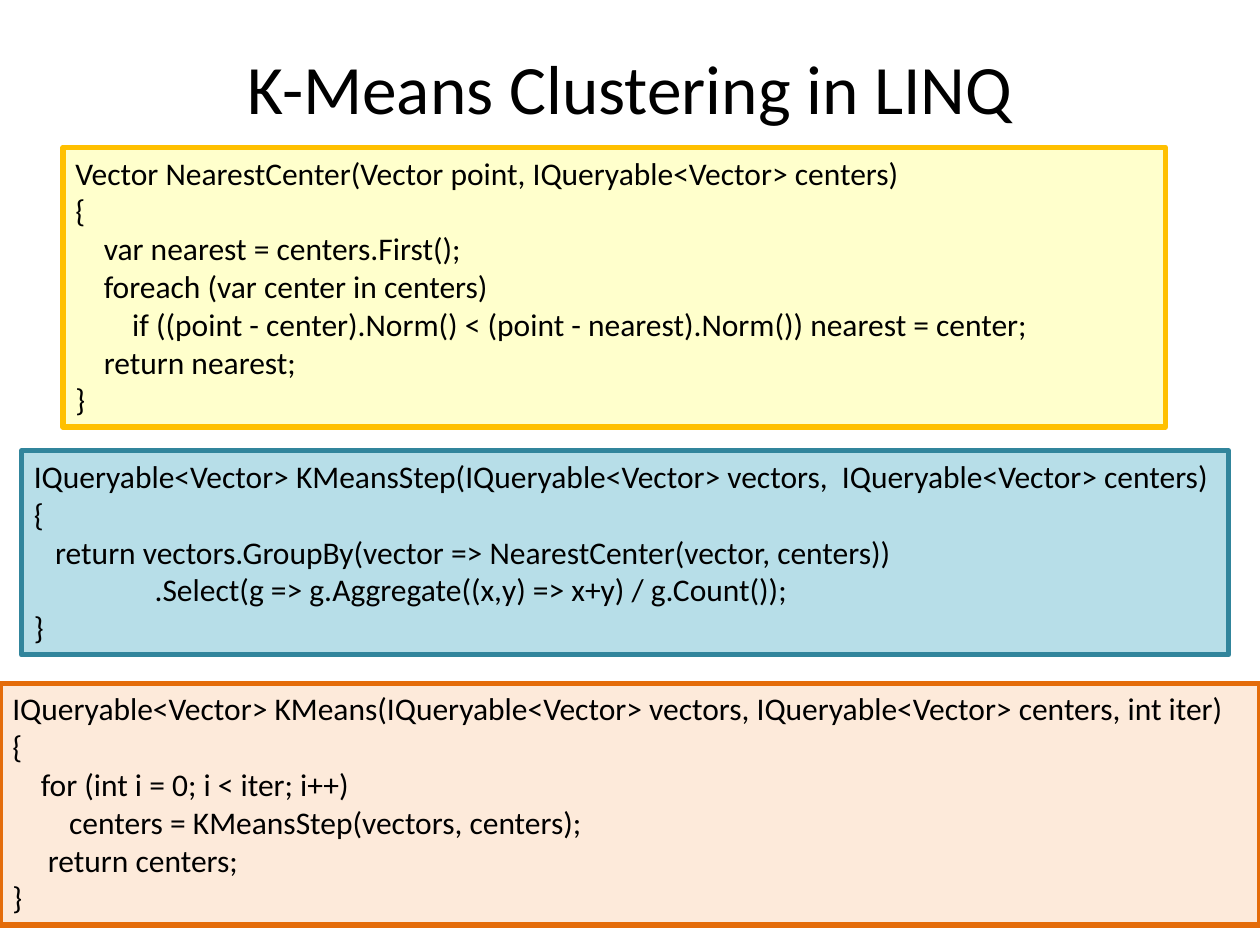
from pptx import Presentation
from pptx.dml.color import RGBColor
from pptx.enum.shapes import MSO_SHAPE
from pptx.enum.text import MSO_ANCHOR, PP_ALIGN
from pptx.util import Inches, Pt

RECT = MSO_SHAPE.RECTANGLE
TOP, MIDDLE = MSO_ANCHOR.TOP, MSO_ANCHOR.MIDDLE
LEFT, CENTER = PP_ALIGN.LEFT, PP_ALIGN.CENTER

WIDTH, HEIGHT = 10, 7.5
FONT = "Calibri"
COLORS = {
    "text": "000000",
    "yellow": "FFFFCC", "gold": "FFC000",
    "aqua": "B7DEE8", "teal": "31859C",
    "peach": "FDEADA", "orange": "E46C0A",
}

NEAREST_CENTER = """\
Vector NearestCenter(Vector point, IQueryable<Vector> centers)
{
    var nearest = centers.First();
    foreach (var center in centers)
        if ((point - center).Norm() < (point - nearest).Norm()) nearest = center;
    return nearest;
}"""

KMEANS_STEP = """\
IQueryable<Vector> KMeansStep(IQueryable<Vector> vectors,  IQueryable<Vector> centers)
{
   return vectors.GroupBy(vector => NearestCenter(vector, centers))
                 .Select(g => g.Aggregate((x,y) => x+y) / g.Count());
}"""

KMEANS = """\
IQueryable<Vector> KMeans(IQueryable<Vector> vectors, IQueryable<Vector> centers, int iter)
{
    for (int i = 0; i < iter; i++)
        centers = KMeansStep(vectors, centers);
     return centers;
}"""

# Left, top, width and height as shares of the slide
TITLE_BOX = (0.05, 0.04, 0.9, 0.104)
LISTINGS = [
    (NEAREST_CENTER, (0.05, 0.156, 0.875, 0.296), "yellow", "gold"),
    (KMEANS_STEP, (0.017, 0.477, 0.958, 0.216), "aqua", "teal"),
    (KMEANS, (0, 0.723, 1, 0.256), "peach", "orange"),
]


def color(name):
    return RGBColor.from_string(COLORS[name])


def to_lengths(box):
    x, y, w, h = box
    return (Inches(x * WIDTH), Inches(y * HEIGHT),
            Inches(w * WIDTH), Inches(h * HEIGHT))


def write(sp, text, size=18, align=LEFT, anchor=TOP):
    """Fill a shape with one paragraph for each line of text."""
    tf = sp.text_frame
    tf.word_wrap = True
    tf.vertical_anchor = anchor
    tf.text = text
    for p in tf.paragraphs:
        p.alignment = align
        for r in p.runs:
            r.font.name = FONT
            r.font.size = Pt(size)
            r.font.color.rgb = color("text")


def add_title(s, box, text):
    sp = s.shapes.title
    sp.left, sp.top, sp.width, sp.height = to_lengths(box)
    write(sp, text, size=39.6, align=CENTER, anchor=MIDDLE)


def add_listing(s, box, code, fill, line):
    sp = s.shapes.add_shape(RECT, *to_lengths(box))
    sp.shadow.inherit = False
    sp.fill.solid()
    sp.fill.fore_color.rgb = color(fill)
    sp.line.color.rgb = color(line)
    sp.line.width = Pt(3)
    write(sp, code)


def main():
    prs = Presentation()
    prs.slide_width, prs.slide_height = Inches(WIDTH), Inches(HEIGHT)
    title_only = prs.slide_layouts.get_by_name("Title Only")
    s = prs.slides.add_slide(title_only)
    add_title(s, TITLE_BOX, "K-Means Clustering in LINQ")
    for code, box, fill, line in LISTINGS:
        add_listing(s, box, code, fill, line)
    prs.save("out.pptx")


if __name__ == "__main__":
    main()
